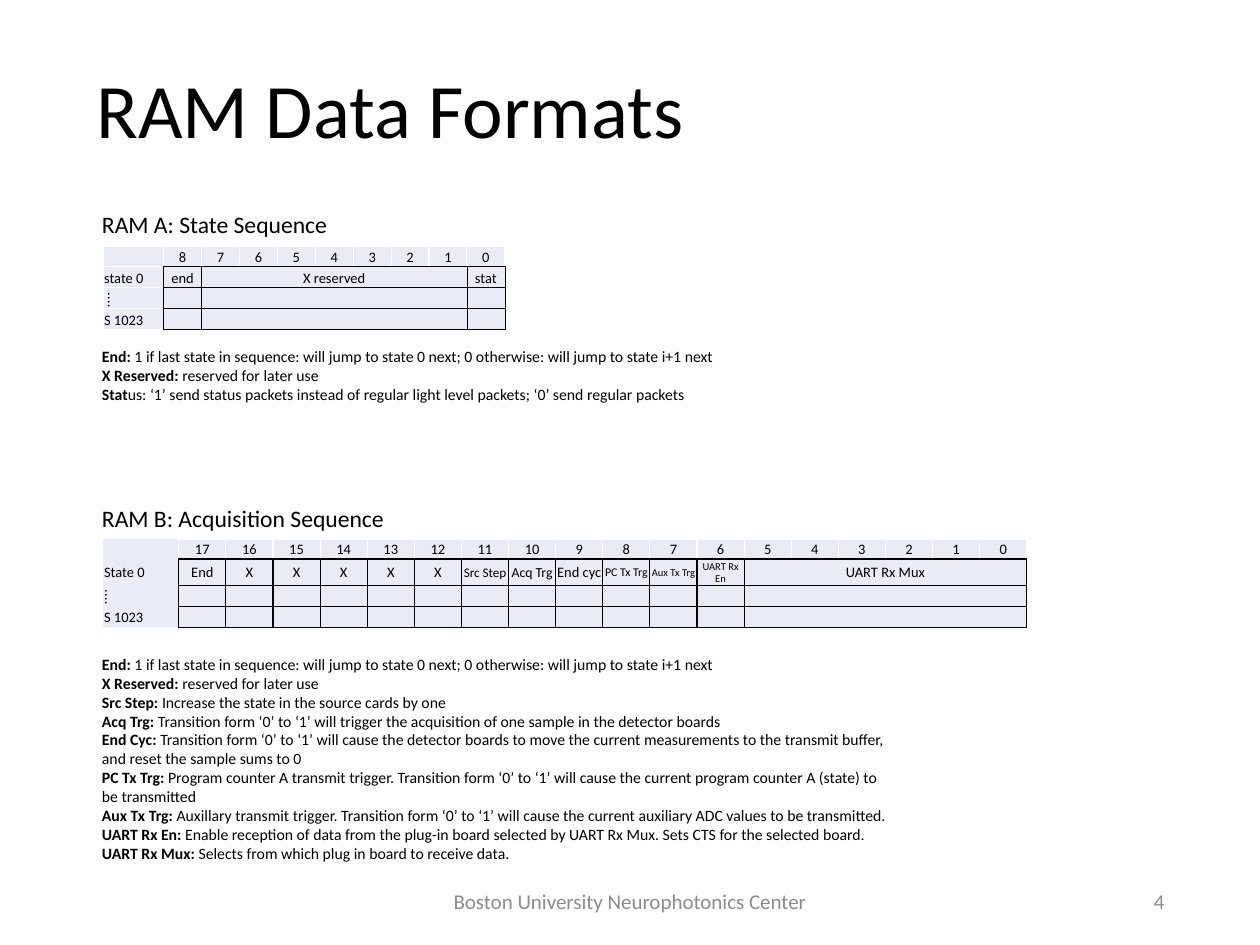
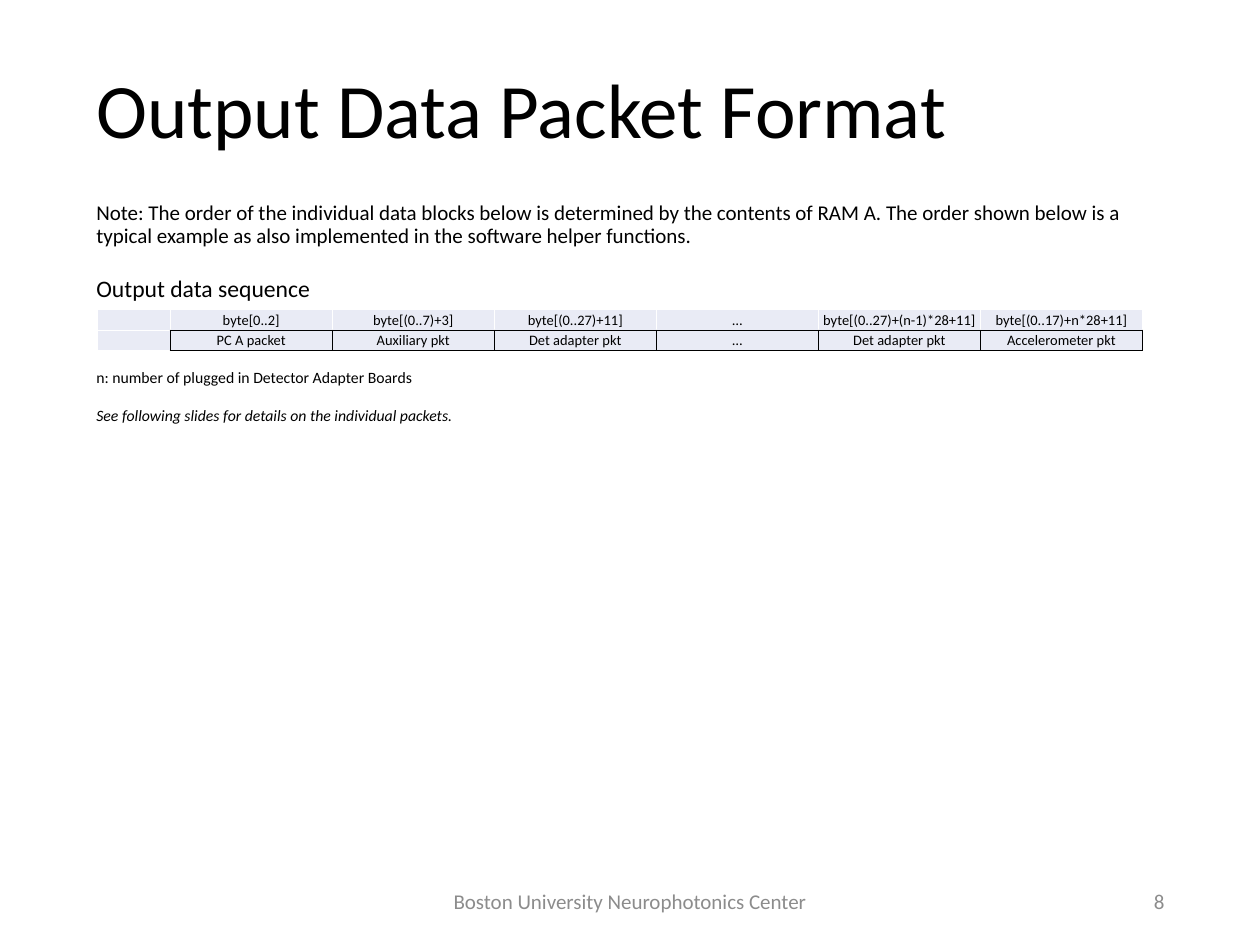
from dataclasses import dataclass

from lxml import etree
from pptx import Presentation
from pptx.dml.color import RGBColor
from pptx.enum.text import MSO_ANCHOR, PP_ALIGN
from pptx.oxml.ns import qn
from pptx.util import Inches, Pt

LEFT, CENTER, RIGHT = PP_ALIGN.LEFT, PP_ALIGN.CENTER, PP_ALIGN.RIGHT
TOP, MIDDLE, BOTTOM = MSO_ANCHOR.TOP, MSO_ANCHOR.MIDDLE, MSO_ANCHOR.BOTTOM


@dataclass(frozen=True)
class Theme:
    font: str = "Calibri"
    ink: str = "000000"
    paper: str = "FFFFFF"
    muted: str = "8C8C8C"
    cell: str = "E9EBF5"
    title: float = 58.6
    heading: float = 18
    footer: float = 16
    note: float = 16
    detail: float = 12
    table: float = 11


THEME = Theme()
FOOTER = "Boston University Neurophotonics Center"

SHARED_FIELDS = [
    ("End: ", "1 if last state in sequence: will jump to state 0 next; 0 otherwise: will jump to state i+1 next"),
    ("X Reserved: ", "reserved for later use"),
]
RAM_A_FIELDS = SHARED_FIELDS + [
    ("Stat", "us: ‘1’ send status packets instead of regular light level packets; ‘0’ send regular packets"),
]
RAM_B_FIELDS = SHARED_FIELDS + [
    ("Src Step: ", "Increase the state in the source cards by one"),
    ("Acq Trg: ", "Transition form ‘0’ to ‘1’ will trigger the acquisition of one sample in the detector boards"),
    ("End Cyc: ", "Transition form ‘0’ to ‘1’ will cause the detector boards to move the current measurements "
                  "to the transmit buffer, and reset the sample sums to 0"),
    ("PC Tx Trg: ", "Program counter A transmit trigger. Transition form ‘0’ to ‘1’ will cause the current "
                    "program counter A (state) to be transmitted"),
    ("Aux Tx Trg: ", "Auxillary transmit trigger. Transition form ‘0’ to ‘1’ will cause the current auxiliary "
                     "ADC values to be transmitted."),
    ("UART Rx En: ", "Enable reception of data from the plug-in board selected by UART Rx Mux. "
                     "Sets CTS for the selected board."),
    ("UART Rx Mux: ", "Selects from which plug in board to receive data."),
]

RAM_A_TABLE = {
    "place": (1.09, 2.6, 4.25), "label_width": 0.64, "heights": [0.22] * 4,
    "header": [str(bit) for bit in range(8, -1, -1)],
    "labels": ["state 0", "⁞", "S 1023"],
    "fields": ["end", "X reserved", "stat"], "spans": [1, 7, 1],
    "anchor": BOTTOM, "label_line": THEME.paper, "inner_line": 0.5, "marker_indent": 0.04,
}
RAM_B_TABLE = {
    "place": (1.09, 5.7, 9.77), "label_width": 0.8, "heights": [0.21, 0.28, 0.22, 0.22],
    "header": [str(bit) for bit in range(17, -1, -1)],
    "labels": ["State 0", "⁞", "S 1023"],
    "fields": ["End"] + ["X"] * 5 + ["Src Step", "Acq Trg", "End cyc", "PC Tx Trg", "Aux Tx Trg",
                                      "UART Rx En", "UART Rx Mux"],
    "spans": [1] * 12 + [6],
    "sizes": {"Src Step": 10, "Acq Trg": 10.5, "PC Tx Trg": 9, "Aux Tx Trg": 8, "UART Rx En": 8},
    "label_line": None,
}
PACKET_TABLE = {
    "place": (1.03, 3.27, 11.05), "label_width": 0.77, "heights": [0.22] * 2,
    "header": ["byte[0..2]", "byte[(0..7)+3]", "byte[(0..27)+11]", "…",
               "byte[(0..27)+(n-1)*28+11]", "byte[(0..17)+n*28+11]"],
    "labels": [""],
    "fields": ["PC A packet", "Auxiliary pkt", "Det adapter pkt", "…", "Det adapter pkt", "Accelerometer pkt"],
    "spans": [1] * 6, "label_line": THEME.paper,
}

PACKET_NOTE = ("Note: The order of the individual data blocks below is determined by the contents of RAM A. "
               "The order shown below is a typical example as also implemented in the software helper functions.")
PACKET_COUNT = "n: number of plugged in Detector Adapter Boards"
PACKET_HINT = "See following slides for details on the individual packets."


def add_run(paragraph, text, size, color=THEME.ink, bold=False, italic=False):
    run = paragraph.add_run()
    run.text = text
    font = run.font
    font.name, font.size, font.bold, font.italic = THEME.font, Pt(size), bold, italic
    font.color.rgb = RGBColor.from_string(color)


def add_text(slide, place, paragraphs, size, color=THEME.ink, align=LEFT, anchor=TOP,
             line_spacing=None, gap=0):
    shape = slide.shapes.add_textbox(*map(Inches, place))
    frame = shape.text_frame
    frame.word_wrap = True
    frame.vertical_anchor = anchor
    for index, runs in enumerate(paragraphs):
        paragraph = frame.add_paragraph() if index else frame.paragraphs[0]
        paragraph.alignment = align
        paragraph.line_spacing = line_spacing
        if index and gap:
            paragraph.space_before = Pt(gap)
        for text, style in runs:
            add_run(paragraph, text, size, color, **style)


def add_plain(slide, place, text, size, **options):
    add_text(slide, place, [[(text, {})]], size, **options)


def add_heading(slide, left, top, text):
    add_plain(slide, (left, top, 4.36, 0.4), text, THEME.heading)


def add_fields(slide, top, height, fields):
    paragraphs = [[(term, {"bold": True}), (meaning, {})] for term, meaning in fields]
    add_text(slide, (0.98, top, 8.6, height), paragraphs, THEME.detail)


def set_border(cell, side, color, width):
    properties = cell._tc.get_or_add_tcPr()
    line = etree.SubElement(properties, qn(f"a:ln{side}"), w=str(Pt(width)))
    if color is None:
        etree.SubElement(line, qn("a:noFill"))
    else:
        fill = etree.SubElement(line, qn("a:solidFill"))
        etree.SubElement(fill, qn("a:srgbClr"), val=color)


def border_lines(table_spec, row, column):
    label_line = table_spec["label_line"]
    inner = table_spec.get("inner_line", 1)
    if column == 0:
        right = THEME.ink if row else THEME.paper
        return {"L": (label_line, 1), "R": (right, 1), "T": (label_line, 1), "B": (label_line, 1)}
    if row == 0:
        return {"L": (THEME.paper, 1), "R": (THEME.paper, 1), "T": (THEME.paper, 1), "B": (THEME.ink, 1)}
    left_width = 1 if column == 1 else inner
    return {"L": (THEME.ink, left_width), "R": (THEME.ink, inner), "T": (THEME.ink, 1), "B": (THEME.ink, 1)}


def style_cell(cell, text, table_spec, row, column):
    cell.margin_left = cell.margin_right = cell.margin_top = Inches(0.01)
    cell.margin_bottom = 0
    cell.vertical_anchor = table_spec.get("anchor", MIDDLE)
    if text == "⁞":
        cell.margin_left = Inches(table_spec.get("marker_indent", 0.01))
    for side, (color, width) in border_lines(table_spec, row, column).items():
        if not cell.is_spanned or side in "TB":
            set_border(cell, side, color, width)
    cell.fill.solid()
    cell.fill.fore_color.rgb = RGBColor.from_string(THEME.cell)
    paragraph = cell.text_frame.paragraphs[0]
    paragraph.alignment = CENTER if column else LEFT
    if text:
        add_run(paragraph, text, table_spec.get("sizes", {}).get(text, THEME.table))
    else:
        etree.SubElement(paragraph._p, qn("a:endParaRPr"), sz=str(THEME.table * 100))


def add_format_table(slide, table_spec):
    left, top, width = table_spec["place"]
    heights, header, spans = table_spec["heights"], table_spec["header"], table_spec["spans"]
    row_count, column_count = len(heights), len(header) + 1
    shape = slide.shapes.add_table(row_count, column_count, Inches(left), Inches(top),
                                   Inches(width), Inches(sum(heights)))
    table = shape.table
    table.first_row = table.horz_banding = False
    label_width = table_spec["label_width"]
    field_width = (width - label_width) / len(header)
    for index, column in enumerate(table.columns):
        column.width = Inches(field_width if index else label_width)
    for row, height in zip(table.rows, heights):
        row.height = Inches(height)

    texts = {(0, column): text for column, text in enumerate(header, 1)}
    texts.update({(row, 0): text for row, text in enumerate(table_spec["labels"], 1)})
    start = 1
    for field, span in zip(table_spec["fields"], spans):
        texts[1, start] = field
        if span > 1:
            for row in range(1, row_count):
                table.cell(row, start).merge(table.cell(row, start + span - 1))
        start += span

    for row in range(row_count):
        for column in range(column_count):
            style_cell(table.cell(row, column), texts.get((row, column), ""), table_spec, row, column)


def add_slide(presentation, title, number):
    slide = presentation.slides.add_slide(presentation.slide_layouts[6])
    add_plain(slide, (0.92, 0.53, 11.49, 1.34), title, THEME.title, anchor=MIDDLE, line_spacing=0.9)
    for place, text, align in [((4.41, 9.26, 4.5, 0.53), FOOTER, CENTER),
                               ((9.41, 9.26, 3, 0.53), str(number), RIGHT)]:
        add_plain(slide, place, text, THEME.footer, color=THEME.muted, align=align, anchor=MIDDLE)
    return slide


def build_ram_slide(presentation):
    slide = add_slide(presentation, "RAM Data Formats", 4)
    add_heading(slide, 0.98, 2.17, "RAM A: State Sequence")
    add_fields(slide, 3.62, 0.71, RAM_A_FIELDS)
    add_format_table(slide, RAM_A_TABLE)
    add_heading(slide, 0.98, 5.28, "RAM B: Acquisition Sequence")
    add_fields(slide, 6.87, 2.32, RAM_B_FIELDS)
    add_format_table(slide, RAM_B_TABLE)


def build_packet_slide(presentation):
    slide = add_slide(presentation, "Output Data Packet Format", 8)
    add_plain(slide, (0.92, 2.09, 11.49, 0.67), PACKET_NOTE, THEME.note, line_spacing=0.9)
    add_heading(slide, 0.92, 2.85, "Output data sequence")
    add_text(slide, (0.92, 3.84, 8.6, 0.71), [[(PACKET_COUNT, {})], [(PACKET_HINT, {"italic": True})]],
             THEME.detail, gap=14.6)
    add_format_table(slide, PACKET_TABLE)


def main():
    presentation = Presentation()
    presentation.slide_width, presentation.slide_height = Inches(13.32), Inches(9.99)
    build_ram_slide(presentation)
    build_packet_slide(presentation)
    presentation.save("out.pptx")


if __name__ == "__main__":
    main()
